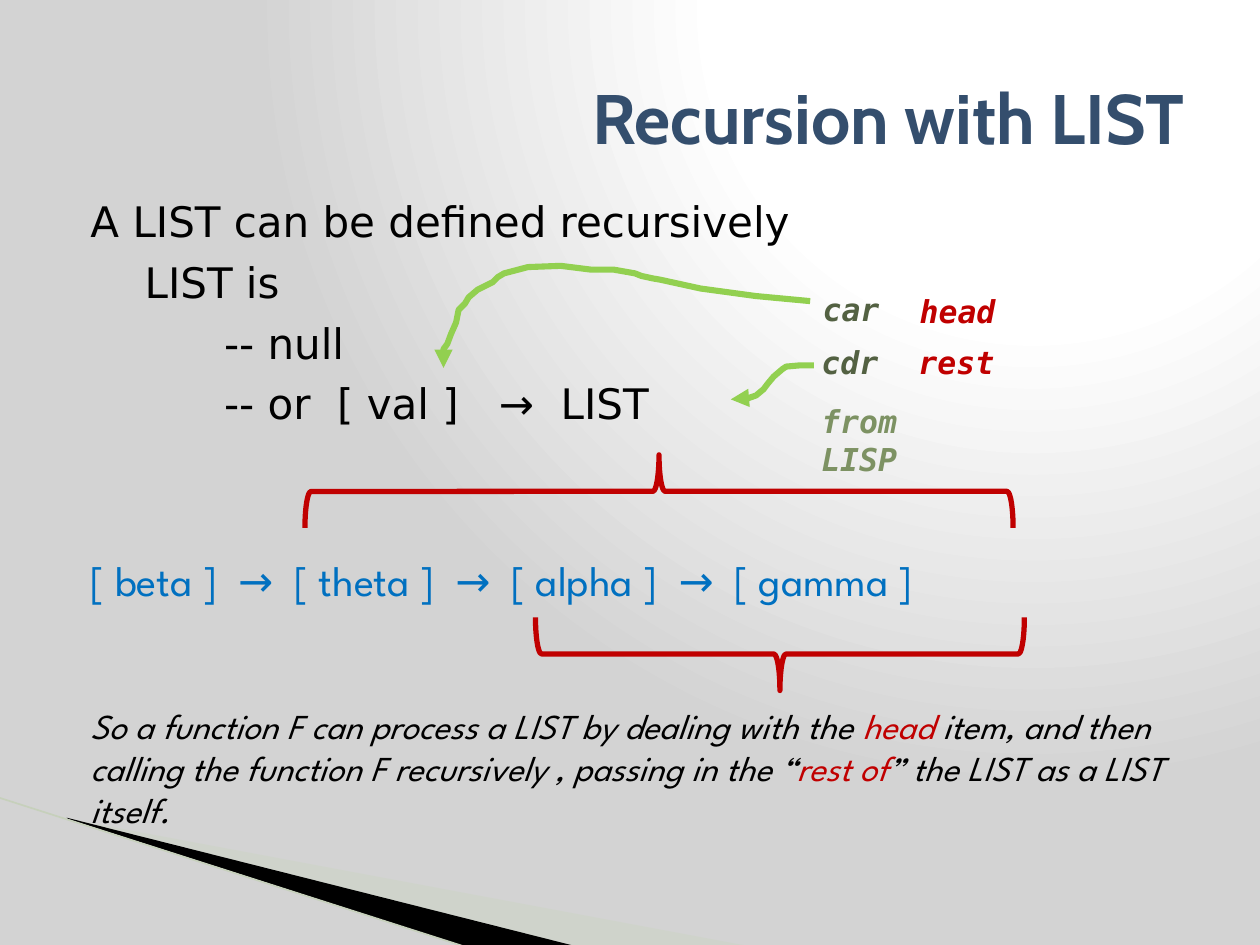
from lxml.etree import SubElement
from pptx import Presentation
from pptx.dml.color import RGBColor
from pptx.enum.shapes import MSO_CONNECTOR as Connector, MSO_SHAPE as Shape
from pptx.enum.text import MSO_ANCHOR as Anchor, PP_ALIGN as Align
from pptx.oxml import parse_xml
from pptx.oxml.ns import nsdecls, qn
from pptx.util import Inches, Pt

SANS, MONO, SPARTAN = "DejaVu Sans", "DejaVu Sans Mono", "League Spartan"
BLACK, RED, BLUE, GREEN = "000000", "C00000", "0070C0", "92D050"

HEAD_ARROW = [
    (6.43, 2.39), (6, 2.35), (5.56, 2.29), (5.24, 2.22), (5.18, 2.21), (5.09, 2.19),
    (5.04, 2.17), (4.87, 2.14), (4.69, 2.14), (4.45, 2.11), (4.19, 2.12), (4, 2.17),
    (3.95, 2.2), (3.91, 2.24), (3.79, 2.3), (3.72, 2.36), (3.69, 2.41), (3.64, 2.46),
    (3.62, 2.56), (3.58, 2.65), (3.55, 2.73), (3.52, 2.77), (3.52, 2.92),
]
REST_ARROW = [
    (6.46, 2.9), (6.35, 2.9), (6.24, 2.91), (6.21, 2.93), (6.14, 2.99), (6.09, 3.05),
    (6.06, 3.09), (6, 3.14), (5.94, 3.16), (5.8, 3.17),
]


def color(value):
    return RGBColor.from_string(value)


def paint_background(page):
    stops = "".join(
        f'<a:gs pos="{place * 1000}"><a:srgbClr val="{value}"/></a:gs>'
        for place, value in [(0, "FFFFFF"), (40, "FFFFFF"), (100, "D3D3D3")]
    )
    fill = page.background.fill
    fill.solid()
    solid = page.element.find(".//" + qn("a:solidFill"))
    solid.getparent().replace(solid, parse_xml(
        f'<a:gradFill {nsdecls("a")} rotWithShape="1"><a:gsLst>{stops}</a:gsLst>'
        '<a:path path="circle"><a:fillToRect l="65000" b="98000"/></a:path></a:gradFill>'
    ))


def add_text(para, text, size=24, font=SANS, fill=BLACK, bold=False, italic=False):
    span = para.add_run()
    span.text = text
    span.font.size = Pt(size)
    span.font.name = font
    span.font.color.rgb = color(fill)
    span.font.bold = bold
    span.font.italic = italic


def add_box(page, left, top, width, height, anchor=Anchor.TOP):
    box = page.shapes.add_textbox(*map(Inches, (left, top, width, height)))
    frame = box.text_frame
    frame.word_wrap = True
    frame.vertical_anchor = anchor
    return frame


def add_title(page, text):
    para = add_box(page, 0.5, 0.3, 9, 1.25, Anchor.MIDDLE).paragraphs[0]
    para.alignment = Align.RIGHT
    add_text(para, text, size=40, font="Cabin", fill="344E6D", bold=True)


def add_label(page, text, left, top, width, fill):
    para = add_box(page, left, top, width, 0.4).paragraphs[0]
    add_text(para, text, size=18, font=MONO, fill=fill, bold=True, italic=True)


def add_body(page, paragraphs):
    frame = add_box(page, 0.5, 1.5, 9, 5.33)
    for number, (indent, before, spans) in enumerate(paragraphs):
        para = frame.add_paragraph() if number else frame.paragraphs[0]
        para.space_before = Pt(before)
        para._p.get_or_add_pPr().set("marL", str(Inches(indent)))
        for text, style in spans:
            add_text(para, text, **style)


def add_outline(page, points, close):
    start, *rest = [(Inches(x), Inches(y)) for x, y in points]
    builder = page.shapes.build_freeform(*start)
    builder.add_line_segments(rest, close=close)
    outline = builder.convert_to_shape()
    outline.shadow.inherit = False
    return outline


def add_wedge(page, points, fill, opacity=100):
    wedge = add_outline(page, points, True)
    wedge.fill.solid()
    wedge.fill.fore_color.rgb = color(fill)
    wedge.line.fill.background()
    tint = wedge.fill._xPr.find(".//" + qn("a:srgbClr"))
    SubElement(tint, qn("a:alpha"), val=str(opacity * 1000))


def set_line(line, fill, width):
    line.color.rgb = color(fill)
    line.width = Pt(width)


def add_curved_arrow(page, points):
    arrow = add_outline(page, points, False)
    arrow.fill.background()
    set_line(arrow.line, GREEN, 3.5)
    SubElement(arrow.line._get_or_add_ln(), qn("a:tailEnd"), type="triangle")


def add_edge(page, start, end):
    edge = page.shapes.add_connector(Connector.STRAIGHT, *map(Inches, start + end))
    set_line(edge.line, "C6D0BB", 0.95)
    SubElement(edge._element.spPr, qn("a:effectLst"))


def add_brace(page, left, top, width, height, rotation):
    brace = page.shapes.add_shape(Shape.LEFT_BRACE, *map(Inches, (left, top, width, height)))
    brace.rotation = rotation
    brace.shadow.inherit = False
    brace.fill.background()
    set_line(brace.line, RED, 3)


def main():
    deck = Presentation()
    deck.slide_width, deck.slide_height = Inches(10), Inches(7.5)
    page = deck.slides.add_slide(deck.slide_layouts[6])
    paint_background(page)
    add_wedge(page, [(0.55, 6.5), (5.95, 7.51), (4.56, 7.51)], "CBD4C0", 40)
    add_wedge(page, [(0.53, 6.49), (4.57, 7.51), (3.72, 7.52), (0.54, 6.5)], BLACK)
    add_edge(page, (-0.01, 6.33), (3.71, 7.52))

    example = {"font": SPARTAN, "fill": BLUE}
    plain = {"font": SPARTAN, "size": 20, "italic": True}
    marked = {**plain, "fill": RED}
    add_body(page, [
        (0.12, 6, [("A LIST can be defined recursively", {})]),
        (0.55, 6, [("LIST is", {})]),
        (1.18, 6, [("-- null", {})]),
        (1.18, 6, [("-- or  [ val ]   →  LIST", {})]),
        (0.12, 72, [("[ beta ]  →  [ theta ]  →  [ alpha ]  →  [ gamma ]", example)]),
        (0.12, 57, [
            ("So a function F can process a LIST by dealing with the ", plain),
            ("head ", marked),
            ("item, and then calling the function F recursively , passing in the “", plain),
            ("rest of", marked),
            ("” the LIST as a LIST itself.", plain),
        ]),
    ])
    add_title(page, "Recursion with LIST")

    add_brace(page, 4.94, 1.09, 0.58, 5.62, 90)
    add_brace(page, 5.9, 3.25, 0.58, 3.88, 270)
    for text, left, top, width, fill in [
        ("car", 6.43, 2.25, 0.75, "536142"),
        ("cdr", 6.42, 2.67, 0.75, "536142"),
        ("from LISP", 6.42, 3.14, 1.47, "7D9263"),
        ("head", 7.2, 2.27, 0.82, RED),
        ("rest", 7.19, 2.67, 0.85, RED),
    ]:
        add_label(page, text, left, top, width, fill)
    for points in (HEAD_ARROW, REST_ARROW):
        add_curved_arrow(page, points)
    deck.save("out.pptx")


if __name__ == "__main__":
    main()
